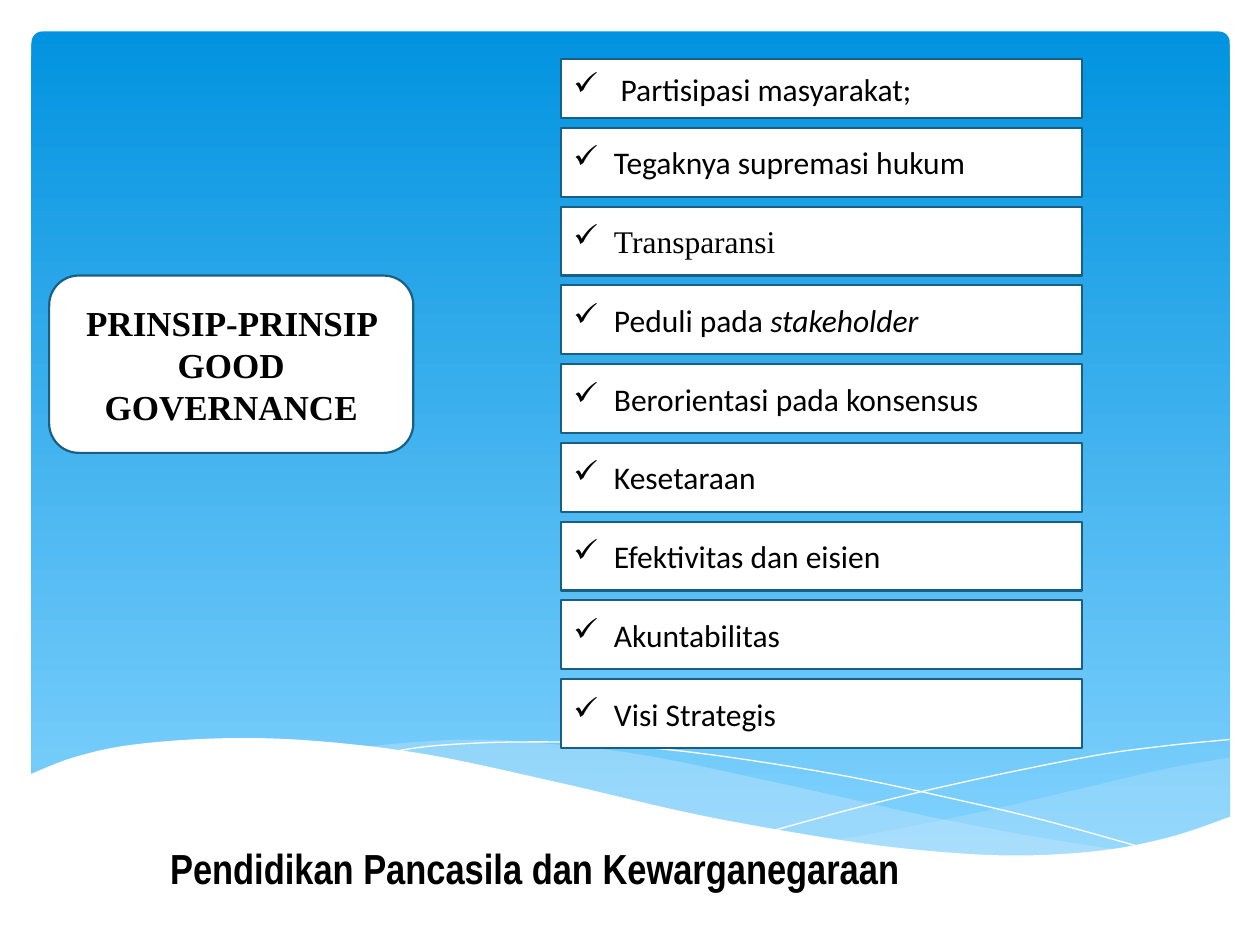
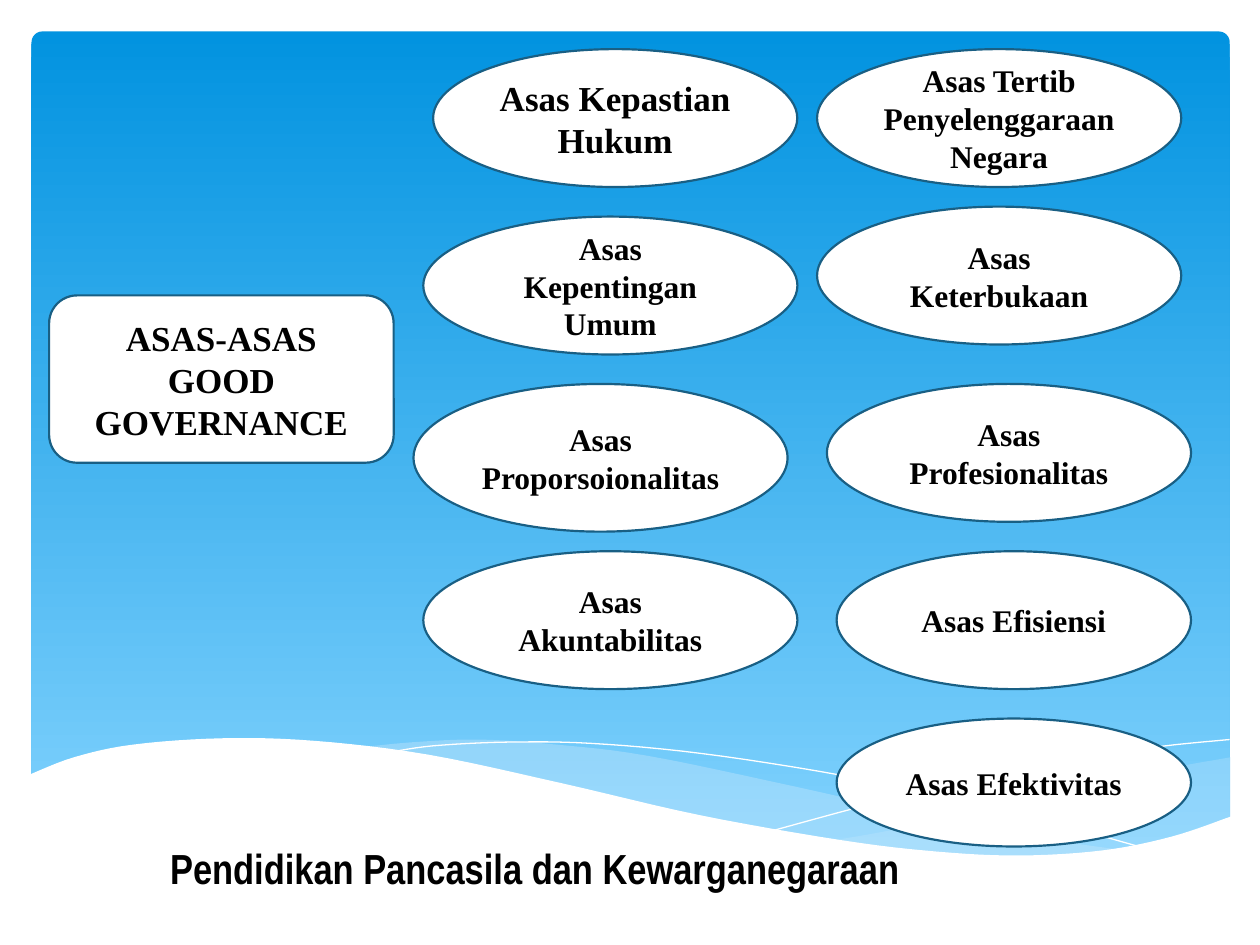
import lxml.etree
import pptx
import pptx.dml.color
import pptx.enum.shapes
import pptx.enum.text
import pptx.oxml.ns
import pptx.util

Pt = pptx.util.Pt
RGB = pptx.dml.color.RGBColor.from_string
KIND = pptx.enum.shapes.MSO_SHAPE
ALIGN = pptx.enum.text.PP_ALIGN
ANCHOR = pptx.enum.text.MSO_ANCHOR
qn = pptx.oxml.ns.qn

THEME = {
    "sky": ("0293E0", "83D3FE"), "mist": "C6E7FC", "white": "FFFFFF",
    "ink": "000000", "edge": "195F84", "rule": 1.25,
    "serif": "Times New Roman", "sans": "Calibri", "narrow": "Arial Narrow",
    "title": 24, "head": 20, "body": 18,
}

COURSE = "Pendidikan Pancasila dan Kewarganegaraan"
COURSE_BOX = (90, 478, 514.8, 36)

# Slide 1: heading, then one row per principle (text, font, italic tail)
HEAD_1 = ("PRINSIP-PRINSIP GOOD GOVERNANCE", (28.1, 157.5, 208.1, 101.3))
ROWS = [
    ("Partisipasi masyarakat;", "sans", ""),
    ("Tegaknya supremasi hukum", "sans", ""),
    ("Transparansi", "serif", ""),
    ("Peduli pada ", "sans", "stakeholder"),
    ("Berorientasi pada konsensus", "sans", ""),
    ("Kesetaraan", "sans", ""),
    ("Efektivitas dan eisien", "sans", ""),
    ("Akuntabilitas", "sans", ""),
    ("Visi Strategis", "sans", ""),
]
ROW_LEFT, ROW_WIDTH = 320.6, 297.7
FIRST_TOP, FIRST_HIGH = 33.8, 33.8
NEXT_TOP, NEXT_HIGH, ROW_STEP = 73.1, 39.4, 45
FIRST_INDENT, NEXT_INDENT = 27, 23.2

# Slide 2: heading, then ovals (text, size, box)
HEAD_2 = ("ASAS-ASAS\vGOOD GOVERNANCE", (28.1, 168.8, 196.9, 95.6))
OVALS = [
    ("Asas Kepastian Hukum", "head", (247.5, 28.1, 208.1, 78.8)),
    ("Asas Tertib Penyelenggaraan Negara", "body", (466.9, 28.1, 208.1, 78.8)),
    ("Asas Keterbukaan", "body", (466.9, 118.1, 208.1, 78.8)),
    ("Asas Profesionalitas", "body", (472.5, 219.4, 208.1, 78.8)),
    ("Asas Efisiensi", "body", (478.1, 315, 202.5, 78.8)),
    ("Asas Kepentingan Umum", "body", (241.9, 123.8, 213.8, 78.8)),
    ("Asas Proporsoionalitas", "body", (236.3, 219.4, 213.8, 84.4)),
    ("Asas Akuntabilitas", "body", (241.9, 315, 213.8, 78.8)),
    ("Asas Efektivitas", "body", (478.1, 410.6, 202.5, 73.1)),
]

# Backdrop: each wave is a list of edges, each edge a few knots of a curve
SKY_BOX = (18, 18, 684.7, 475.2)
RIGHT_SWELL = [
    [(703.4, 432.7), (663.8, 439.9), (620.6, 450), (561.6, 463.7),
     (509, 474.5), (476.6, 480.2)],
    [(476.6, 480.2), (517.7, 485.3), (554.4, 488.9), (586.8, 489.6),
     (622.1, 487.4), (658.1, 481.7), (703.4, 467.3)],
]
MID_SWELL = [
    [(206.6, 427), (236.2, 424.1), (273.6, 422.6), (318.2, 425.5),
     (370.8, 432), (453.6, 449.3), (534.2, 467.3), (603.4, 480.2),
     (643.7, 486)],
    [(643.7, 486), (611.3, 488.9), (573.8, 489.6), (530.6, 487.4),
     (479.5, 481), (408.2, 468), (324, 449.3), (261.4, 434.9), (206.6, 427)],
]
LONG_LINE = [
    [(223.2, 429.8), (247.7, 426.2), (289.4, 424.1), (337.7, 424.8),
     (401, 430.6), (479.5, 442.8), (547.9, 457.2), (599, 469.4),
     (653.8, 484.6)],
]
SHORT_LINE = [
    [(442.1, 474.5), (501.1, 458.6), (559.4, 445), (624.2, 432),
     (666, 426.2), (702.7, 422.6)],
]
FRONT_WAVE = [
    [(16.6, 442.8), (42.5, 432.7), (76.3, 425.5), (127.4, 421.9),
     (180, 423.4), (244.8, 431.3), (321.8, 447.8), (399.6, 465.8),
     (481, 480.2), (535.7, 486.7), (582.5, 488.9), (630, 486),
     (669.6, 478.1), (703.4, 466.6)],
    [(703.4, 526.5), (16.6, 526.5)],
]
# (edges, fill, opacity in percent); no fill means a white hairline
WAVES = [
    (RIGHT_SWELL, "mist", 29), (MID_SWELL, "mist", 40),
    (LONG_LINE, None, 100), (SHORT_LINE, None, 100),
    (FRONT_WAVE, "white", 100),
]


def smooth(knots, steps=6):
    """Return points on a Catmull-Rom curve through the knots."""
    if len(knots) < 3:
        return knots
    ends = [knots[0]] + knots + [knots[-1]]
    curve = [knots[0]]
    for a, b, c, d in zip(ends, ends[1:], ends[2:], ends[3:]):
        for step in range(1, steps + 1):
            t = step / steps
            curve.append(tuple(
                (2 * q + (r - p) * t + (2 * p - 5 * q + 4 * r - s) * t ** 2
                 + (3 * q - p - 3 * r + s) * t ** 3) / 2
                for p, q, r, s in zip(a, b, c, d)))
    return curve


def style(run, size, face, bold=False, italic=False):
    """Format one run with sizes and fonts of the theme."""
    font = run.font
    font.size, font.name = Pt(THEME[size]), THEME[face]
    font.bold, font.italic = bold, italic
    font.color.rgb = RGB(THEME["ink"])


def add_wave(slide, edges, fill, alpha):
    """Draw one wave or hairline and return it."""
    dots = [(Pt(x), Pt(y)) for edge in edges for x, y in smooth(edge)]
    pen = slide.shapes.build_freeform(*dots[0])
    pen.add_line_segments(dots[1:], close=fill is not None)
    wave = pen.convert_to_shape()
    wave.shadow.inherit = False
    if fill is None:
        wave.fill.background()
        wave.line.color.rgb = RGB(THEME["white"])
        wave.line.width = Pt(0)
        return wave
    wave.fill.solid()
    wave.fill.fore_color.rgb = RGB(THEME[fill])
    wave.line.fill.background()
    if alpha < 100:
        color = wave.element.spPr.find(qn("a:solidFill")).find(qn("a:srgbClr"))
        lxml.etree.SubElement(color, qn("a:alpha"), val=str(alpha * 1000))
    return wave


def add_backdrop(slide):
    """Draw the sky and waves, and move them to the slide's layout."""
    sky = slide.shapes.add_shape(KIND.ROUNDED_RECTANGLE, *map(Pt, SKY_BOX))
    sky.adjustments[0] = 0.013
    sky.shadow.inherit = False
    sky.line.fill.background()
    sky.fill.gradient()
    sky.fill.gradient_angle = 270
    for stop, color, place in zip(sky.fill.gradient_stops, THEME["sky"], (0, 1)):
        stop.color.rgb = RGB(color)
        stop.position = place
    parts = [sky] + [add_wave(slide, *wave) for wave in WAVES]
    tree = slide.slide_layout.shapes.element
    for num, part in enumerate(parts):
        part.element.nvSpPr.cNvPr.set("id", str(100 + num))
        tree.insert(2 + num, part.element)


def add_title(slide):
    """Place the course name in the title placeholder."""
    title = slide.shapes.title
    title.left, title.top, title.width, title.height = map(Pt, COURSE_BOX)
    frame = title.text_frame
    frame.text = COURSE
    frame.word_wrap = True
    frame.auto_size = pptx.enum.text.MSO_AUTO_SIZE.SHAPE_TO_FIT_TEXT
    frame.vertical_anchor = ANCHOR.TOP
    frame.paragraphs[0].alignment = ALIGN.LEFT
    style(frame.paragraphs[0].runs[0], "title", "narrow", bold=True)


def add_card(slide, kind, box, text, align=ALIGN.CENTER):
    """Add a white outlined shape with text; return its paragraph."""
    card = slide.shapes.add_shape(kind, *map(Pt, box))
    card.shadow.inherit = False
    card.fill.solid()
    card.fill.fore_color.rgb = RGB(THEME["white"])
    card.line.color.rgb = RGB(THEME["edge"])
    card.line.width = Pt(THEME["rule"])
    card.text_frame.text = text
    card.text_frame.vertical_anchor = ANCHOR.MIDDLE
    para = card.text_frame.paragraphs[0]
    para.alignment = align
    return para


def add_label(slide, kind, box, text, size):
    """Add a card with bold centred serif text."""
    for run in add_card(slide, kind, box, text).runs:
        style(run, size, "serif", bold=True)


def add_row(slide, num, text, face, tail):
    """Add one ticked row of the list of principles."""
    top, high, indent = FIRST_TOP, FIRST_HIGH, FIRST_INDENT
    if num:
        top = NEXT_TOP + (num - 1) * ROW_STEP
        high, indent = NEXT_HIGH, NEXT_INDENT
    box = (ROW_LEFT, top, ROW_WIDTH, high)
    para = add_card(slide, KIND.RECTANGLE, box, text, ALIGN.LEFT)
    style(para.runs[0], "body", face)
    if tail:
        run = para.add_run()
        run.text = tail
        style(run, "body", face, italic=True)
    props = para._p.get_or_add_pPr()
    props.set("marL", str(Pt(indent)))
    props.set("indent", str(-Pt(indent)))
    lxml.etree.SubElement(props, qn("a:buChar"), char="✓")


deck = pptx.Presentation()
deck.slide_width, deck.slide_height = Pt(720), Pt(540)
first, second = (deck.slides.add_slide(deck.slide_layouts[5]) for _ in range(2))
add_backdrop(first)

for slide, (text, box) in ((first, HEAD_1), (second, HEAD_2)):
    add_title(slide)
    add_label(slide, KIND.ROUNDED_RECTANGLE, box, text, "head")
for num, row in enumerate(ROWS):
    add_row(first, num, *row)
for text, size, box in OVALS:
    add_label(second, KIND.OVAL, box, text, size)

deck.save("out.pptx")
